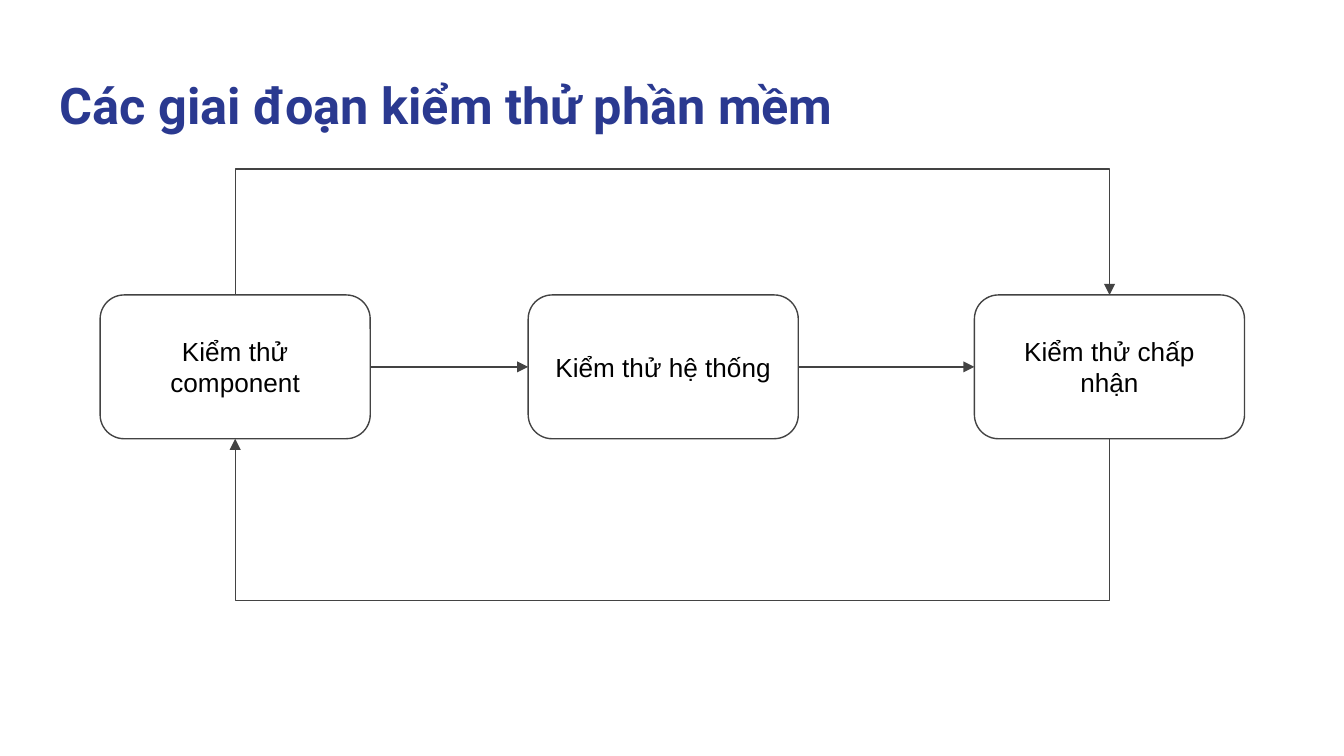
from pptx import Presentation, util as u
from pptx.dml.color import RGBColor
from pptx.enum import shapes, text
from pptx.oxml import parse_xml
from pptx.oxml.ns import nsdecls, qn

PX = 4572
THIN = 600
TOP, LEFT, BOTTOM, RIGHT = range(4)


def px(n):
    return u.Emu(n * PX)


def color(code):
    return RGBColor.from_string(code)


def write(shape, words, size=14, font="Arial", ink="000000", bold=False,
          align=text.PP_ALIGN.CENTER, anchor=text.MSO_ANCHOR.MIDDLE):
    frame = shape.text_frame
    frame.word_wrap = True
    frame.vertical_anchor = anchor
    frame.margin_left = frame.margin_right = px(20)
    frame.margin_top = frame.margin_bottom = px(20)
    para = frame.paragraphs[0]
    para.alignment = align
    run = para.add_run()
    run.text = words
    run.font.size = u.Pt(size)
    run.font.name = font
    run.font.bold = bold
    run.font.color.rgb = color(ink)


class Board:
    line = "434343"
    fill = "FFFFFF"
    blue = "2A3990"
    weight = u.Pt(0.75)

    def __init__(self, slide):
        self.slide = slide

    def title(self, words, x, y, w, h):
        box = self.slide.shapes.add_textbox(px(x), px(y), px(w), px(h))
        write(box, words, size=27, font="Roboto", ink=self.blue, bold=True,
              align=text.PP_ALIGN.LEFT, anchor=text.MSO_ANCHOR.TOP)

    def stage(self, words, x, y, w, h):
        box = self.slide.shapes.add_shape(
            shapes.MSO_SHAPE.ROUNDED_RECTANGLE, px(x), px(y), px(w), px(h))
        box.shadow.inherit = False
        box.fill.solid()
        box.fill.fore_color.rgb = color(self.fill)
        box.line.color.rgb = color(self.line)
        box.line.width = self.weight
        write(box, words)
        return box

    def arrow(self, start, out, end, into, kind=shapes.MSO_CONNECTOR.STRAIGHT):
        link = self.slide.shapes.add_connector(kind, 0, 0, 0, 0)
        link.begin_connect(start, out)
        link.end_connect(end, into)
        link.line.color.rgb = color(self.line)
        link.line.width = self.weight
        tip = parse_xml(f'<a:tailEnd {nsdecls("a")} type="triangle"/>')
        link.line._get_or_add_ln().append(tip)
        link._element.spPr.append(parse_xml(f'<a:effectLst {nsdecls("a")}/>'))
        return link

    def loop(self, start, end, side, depth):
        link = self.arrow(start, side, end, side, shapes.MSO_CONNECTOR.ELBOW)
        span = abs(end.left - start.left)
        mid = (start.left + end.left + start.width) // 2
        edge = start.top + (start.height if side == BOTTOM else 0)
        link.left, link.top = mid - THIN // 2, edge - span // 2
        link.width, link.height = THIN, span
        frame = link._element.spPr.find(qn("a:xfrm"))
        for name in ("flipH", "flipV"):
            frame.attrib.pop(name, None)
        frame.set("rot", "5400000" if side == BOTTOM else "16200000")
        if side == TOP:
            frame.set("flipH", "1")
        bend = depth * PX * 100000 // THIN * (1 if side == BOTTOM else -1)
        geom = link._element.spPr.find(qn("a:prstGeom"))
        for old in list(geom):
            geom.remove(old)
        geom.append(parse_xml(
            f'<a:avLst {nsdecls("a")}><a:gd name="adj1" fmla="val {bend}"/></a:avLst>'))


def main():
    deck = Presentation()
    deck.slide_width, deck.slide_height = px(2000), px(1125)
    board = Board(deck.slides.add_slide(deck.slide_layouts[6]))
    board.title("Các giai đoạn kiểm thử phần mềm", 69, 90, 1864, 132)
    stages = [board.stage(words, x, 439, 402, 214) for words, x in (
        ("Kiểm thử component", 149),
        ("Kiểm thử hệ thống", 786),
        ("Kiểm thử chấp nhận", 1450))]
    first, last = stages[0], stages[-1]
    board.loop(first, last, TOP, 156)
    board.loop(last, first, BOTTOM, 201)
    for start, end in zip(stages, stages[1:]):
        board.arrow(start, RIGHT, end, LEFT)
    deck.save("out.pptx")


if __name__ == "__main__":
    main()
